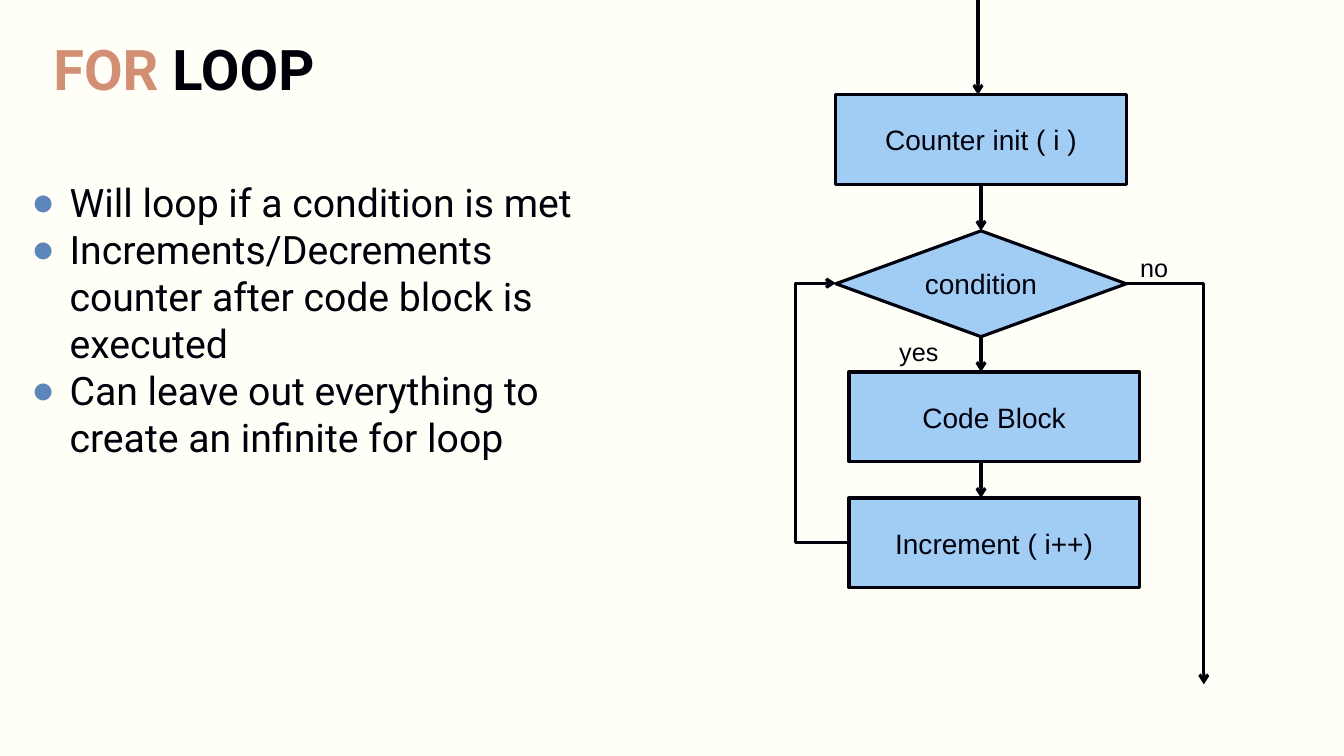
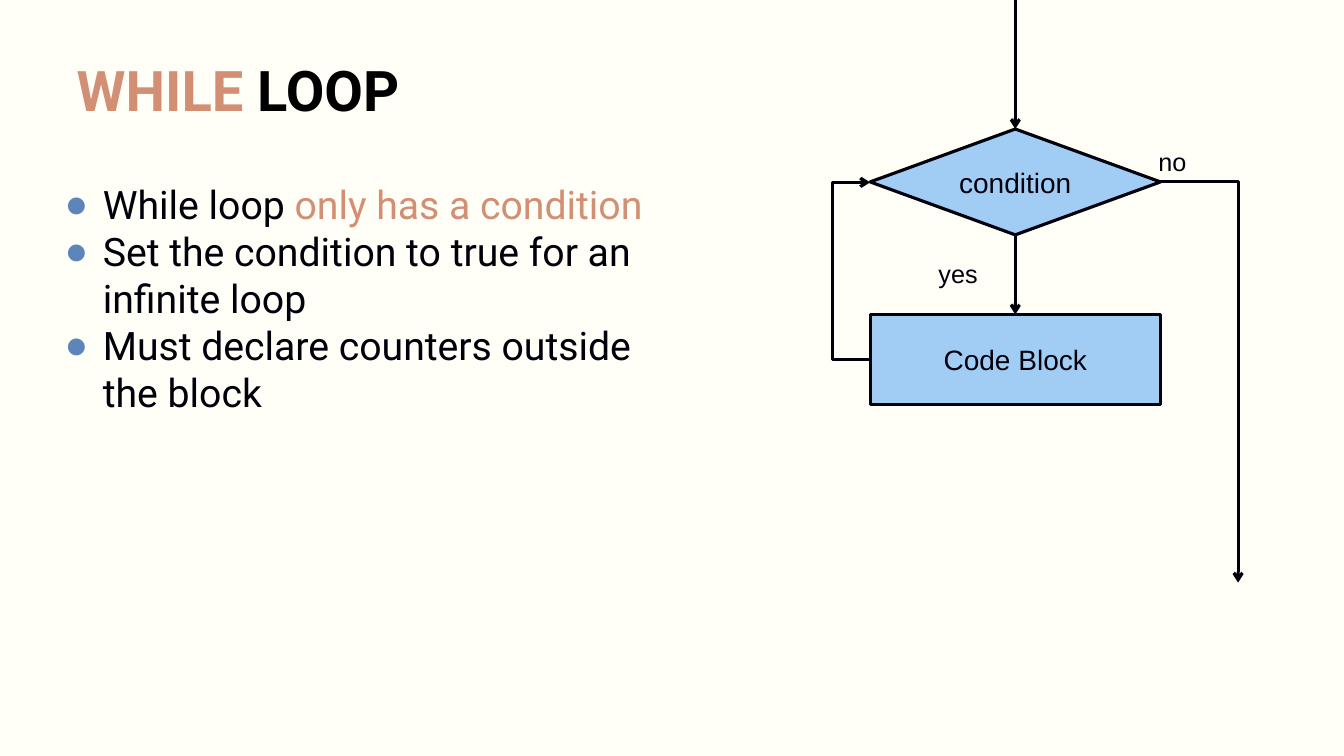
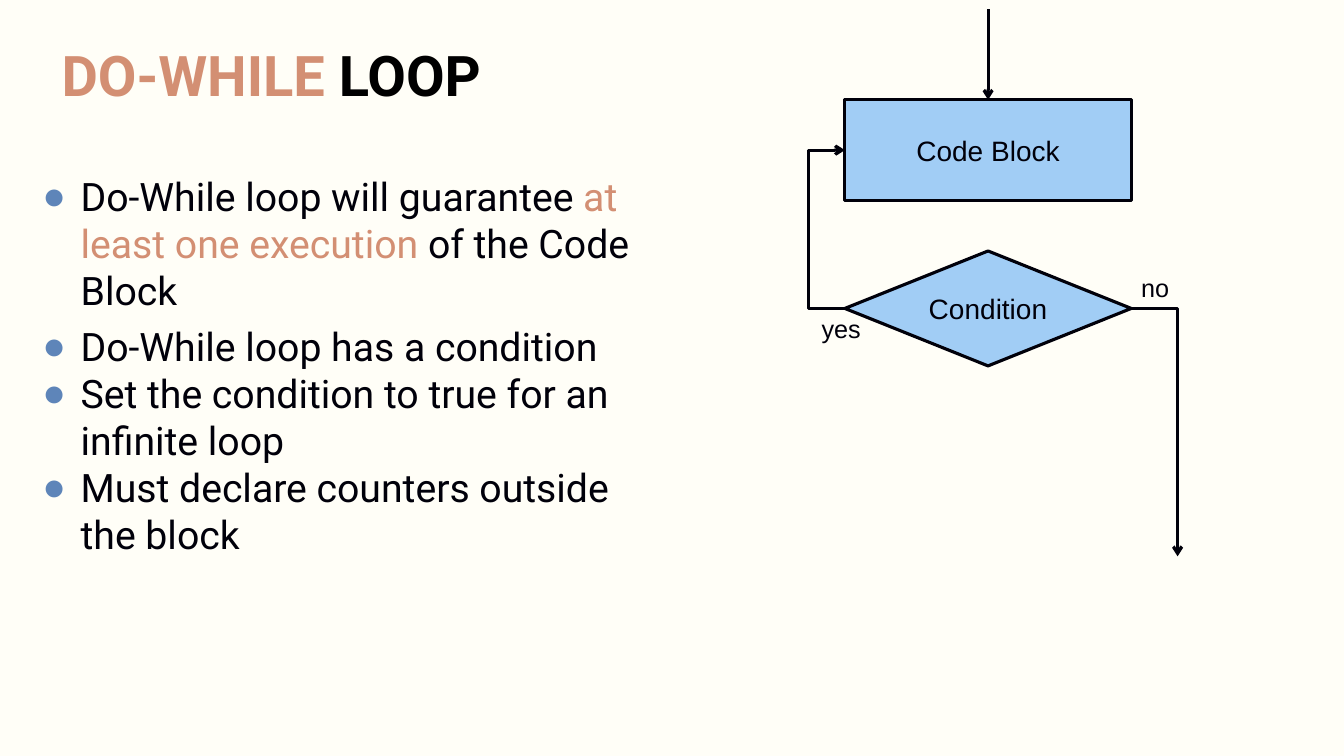
from dataclasses import dataclass, field
from typing import Any, NamedTuple, Optional, Union

from lxml import etree
from pptx import Presentation
from pptx.dml.color import RGBColor
from pptx.enum.shapes import MSO_CONNECTOR, MSO_SHAPE
from pptx.enum.text import MSO_ANCHOR, MSO_AUTO_SIZE, PP_ALIGN
from pptx.oxml.ns import qn
from pptx.util import Inches, Pt

RECT = MSO_SHAPE.RECTANGLE
DECISION = MSO_SHAPE.FLOWCHART_DECISION
DIAMOND = MSO_SHAPE.DIAMOND
STRAIGHT, ELBOW = MSO_CONNECTOR.STRAIGHT, MSO_CONNECTOR.ELBOW
TOP, BOTTOM = 0, 2
TITLE_AND_CONTENT = 1


@dataclass(frozen=True)
class Theme:
    background: str = "FFFEF7"
    ink: str = "00000A"
    black: str = "000000"
    accent: str = "D38F73"
    bullet: str = "5E85B9"
    node_fill: str = "A1CDF5"
    text_font: str = "Roboto"
    chart_font: str = "Arial"
    title_size: int = 40
    body_size: int = 28
    node_size: int = 20
    label_size: int = 18
    line_width: float = 2.25


THEME = Theme()


class Span(NamedTuple):
    text: str
    color: str = THEME.ink


class Box(NamedTuple):
    left: float
    top: float
    width: float
    height: float


class Bullet(NamedTuple):
    spans: list[Span]
    space_before: int = 0


class Node(NamedTuple):
    key: str
    text: str
    shape: Any
    box: Box
    line_width: float = THEME.line_width


class Point(NamedTuple):
    x: float
    y: float


class Site(NamedTuple):
    """A connection site of a node."""
    key: str
    index: int


class Arrow(NamedTuple):
    start: Union[Point, Site]
    end: Union[Point, Site]


class Elbow(NamedTuple):
    """A bent arrow: around via_x, or with a single corner if there is none."""
    start: Point
    end: Point
    via_x: Optional[float] = None


class Label(NamedTuple):
    text: str
    left: float
    top: float


@dataclass
class LoopSlide:
    title: list[Span]
    title_box: Box
    bullets: list[Bullet]
    body_box: Box
    nodes: list[Node]
    arrows: list[Arrow]
    elbows: list[Elbow]
    labels: list[Label] = field(default_factory=list)


def rgb(color: str) -> RGBColor:
    return RGBColor.from_string(color)


def set_all(target: Any, values: dict[str, Any]) -> None:
    for name, value in values.items():
        setattr(target, name, value)


def place(sp: Any, box: Box) -> None:
    set_all(sp, {name: Inches(value) for name, value in box._asdict().items()})


def add_runs(p: Any, spans: list[Span], font: str, size: int, bold: bool = False) -> None:
    for span in spans:
        r = p.add_run()
        r.text = span.text
        set_all(r.font, {"name": font, "size": Pt(size), "bold": bold})
        r.font.color.rgb = rgb(span.color)


def setup_placeholder(sp: Any, box: Box, anchor: Any) -> Any:
    place(sp, box)
    tf = sp.text_frame
    set_all(tf, {
        "word_wrap": True, "auto_size": MSO_AUTO_SIZE.NONE, "vertical_anchor": anchor,
        "margin_left": Inches(0.07), "margin_right": Inches(0.07),
        "margin_top": Inches(0.04), "margin_bottom": Inches(0.04),
    })
    return tf


def set_bullet(p: Any) -> None:
    pPr = p._p.get_or_add_pPr()
    pPr.set("marL", str(Inches(0.5)))
    pPr.set("indent", str(Inches(-0.38)))
    color = etree.SubElement(pPr, qn("a:buClr"))
    etree.SubElement(color, qn("a:srgbClr"), val=THEME.bullet)
    etree.SubElement(pPr, qn("a:buChar"), char="●")


def add_text(slide: Any, spec: LoopSlide) -> None:
    tf = setup_placeholder(slide.shapes.title, spec.title_box, MSO_ANCHOR.MIDDLE)
    p = tf.paragraphs[0]
    p.alignment = PP_ALIGN.LEFT
    add_runs(p, spec.title, THEME.text_font, THEME.title_size, bold=True)

    tf = setup_placeholder(slide.placeholders[1], spec.body_box, MSO_ANCHOR.TOP)
    for i, bullet in enumerate(spec.bullets):
        p = tf.add_paragraph() if i else tf.paragraphs[0]
        p.space_before = Pt(bullet.space_before)
        set_bullet(p)
        add_runs(p, bullet.spans, THEME.text_font, THEME.body_size)


def add_node(slide: Any, node: Node) -> Any:
    sp = slide.shapes.add_shape(node.shape, *map(Inches, node.box))
    sp.shadow.inherit = False
    sp.fill.solid()
    sp.fill.fore_color.rgb = rgb(THEME.node_fill)
    sp.line.color.rgb = rgb(THEME.ink)
    sp.line.width = Pt(node.line_width)
    tf = sp.text_frame
    tf.vertical_anchor = MSO_ANCHOR.MIDDLE
    p = tf.paragraphs[0]
    p.alignment = PP_ALIGN.CENTER
    add_runs(p, [Span(node.text)], THEME.chart_font, THEME.node_size)
    return sp


def add_line(slide: Any, kind: Any, start: Point, end: Point) -> Any:
    """Add a connector with an arrowhead at its end."""
    line = slide.shapes.add_connector(kind, *map(Inches, (*start, *end)))
    line.line.color.rgb = rgb(THEME.ink)
    line.line.width = Pt(THEME.line_width)
    etree.SubElement(line.line._get_or_add_ln(), qn("a:tailEnd"), type="arrow")
    etree.SubElement(line._element.spPr, qn("a:effectLst"))
    return line


def add_arrow(slide: Any, arrow: Arrow, shapes: dict[str, Any]) -> None:
    """Add a straight arrow and join the ends that lie on a node's site."""
    start, end = (Point(0, 0) if isinstance(stop, Site) else stop
                  for stop in arrow)
    line = add_line(slide, STRAIGHT, start, end)
    for stop, connect in zip(arrow, (line.begin_connect, line.end_connect)):
        if isinstance(stop, Site):
            connect(shapes[stop.key], stop.index)


def add_elbow(slide: Any, elbow: Elbow) -> None:
    line = add_line(slide, ELBOW, elbow.start, elbow.end)
    geom = line._element.spPr.find(qn("a:prstGeom"))
    if elbow.via_x is None:
        geom.set("prst", "bentConnector2")
        return
    share = (elbow.via_x - elbow.start.x) / (elbow.end.x - elbow.start.x)
    guides = geom.find(qn("a:avLst"))
    etree.SubElement(guides, qn("a:gd"), name="adj1", fmla=f"val {round(share * 100000)}")


def add_label(slide: Any, label: Label) -> None:
    box = Box(label.left, label.top, 1.24, 0.4)
    tf = slide.shapes.add_textbox(*map(Inches, box)).text_frame
    set_all(tf, {"word_wrap": True, "auto_size": MSO_AUTO_SIZE.SHAPE_TO_FIT_TEXT})
    add_runs(tf.paragraphs[0], [Span(label.text)], THEME.chart_font, THEME.label_size)


def add_loop_slide(prs: Any, spec: LoopSlide) -> None:
    slide = prs.slides.add_slide(prs.slide_layouts[TITLE_AND_CONTENT])
    add_text(slide, spec)
    shapes = {node.key: add_node(slide, node) for node in spec.nodes}
    for arrow in spec.arrows:
        add_arrow(slide, arrow, shapes)
    for elbow in spec.elbows:
        add_elbow(slide, elbow)
    for label in spec.labels:
        add_label(slide, label)


def loop_title(keyword: str, rest_color: str = THEME.black) -> list[Span]:
    return [Span(f"{keyword} ", THEME.accent), Span("LOOP", rest_color)]


INFINITE = Bullet([Span("Set the condition to true for an infinite loop")])
COUNTERS = Bullet([Span("Must declare counters outside the block")])

FOR_LOOP = LoopSlide(
    title=loop_title("FOR", THEME.ink),
    title_box=Box(0.46, 0.27, 8.42, 0.82),
    bullets=[
        Bullet([Span("Will loop if a condition is met")], 6),
        Bullet([Span("Increments/Decrements counter after code block is executed")]),
        Bullet([Span("Can leave out everything to create an infinite for loop")]),
    ],
    body_box=Box(0.12, 1.73, 6.12, 5.02),
    nodes=[
        Node("init", "Counter init ( i )", RECT, Box(8.29, 0.94, 2.88, 0.89)),
        Node("condition", "condition", DECISION, Box(8.29, 2.29, 2.88, 1.05)),
        Node("code", "Code Block", RECT, Box(8.42, 3.69, 2.88, 0.89)),
        Node("increment", "Increment ( i++)", RECT, Box(8.42, 4.94, 2.88, 0.89)),
    ],
    arrows=[
        Arrow(Point(9.7, 0), Point(9.7, 0.94)),
        Arrow(Site("init", BOTTOM), Site("condition", TOP)),
        Arrow(Site("condition", BOTTOM), Point(9.73, 3.69)),
        Arrow(Point(9.73, 4.58), Point(9.73, 4.94)),
    ],
    elbows=[
        Elbow(Point(8.42, 5.38), Point(8.29, 2.81), via_x=7.89),
        Elbow(Point(11.16, 2.81), Point(11.94, 6.79)),
    ],
    labels=[Label("yes", 8.82, 3.29), Label("no", 11.21, 2.45)],
)

WHILE_LOOP = LoopSlide(
    title=loop_title("WHILE"),
    title_box=Box(0.69, 0.47, 8.42, 0.82),
    bullets=[
        Bullet([Span("While loop "), Span("only has a condition", THEME.accent)], 6),
        INFINITE,
        COUNTERS,
    ],
    body_box=Box(0.45, 1.75, 6.38, 5.08),
    nodes=[
        Node("condition", "condition", DECISION, Box(8.63, 1.28, 2.88, 1.05)),
        Node("code", "Code Block", RECT, Box(8.63, 3.12, 2.88, 0.89)),
    ],
    arrows=[
        Arrow(Point(10.07, 0), Site("condition", TOP)),
        Arrow(Site("condition", BOTTOM), Site("code", TOP)),
    ],
    elbows=[
        Elbow(Point(11.51, 1.8), Point(12.28, 5.78)),
        Elbow(Point(8.65, 3.57), Point(8.63, 1.81), via_x=8.26),
    ],
    labels=[Label("yes", 9.21, 2.51), Label("no", 11.39, 1.4)],
)

DO_WHILE_LOOP = LoopSlide(
    title=loop_title("DO-WHILE"),
    title_box=Box(0.54, 0.33, 4.96, 0.82),
    bullets=[
        Bullet([
            Span("Do-While loop will guarantee "),
            Span("at least one execution ", THEME.accent),
            Span("of the Code Block"),
        ], 6),
        Bullet([Span("Do-While loop has a condition")], 6),
        INFINITE,
        COUNTERS,
    ],
    body_box=Box(0.23, 1.67, 6.31, 5.83),
    nodes=[
        Node("code", "Code Block", RECT, Box(8.38, 0.99, 2.84, 1), line_width=2),
        Node("condition", "Condition", DIAMOND, Box(8.38, 2.49, 2.84, 1.14)),
    ],
    arrows=[Arrow(Point(9.8, 0.09), Site("code", TOP))],
    elbows=[
        Elbow(Point(8.39, 3.06), Point(8.38, 1.49), via_x=8.01),
        Elbow(Point(11.22, 3.06), Point(11.68, 5.52)),
    ],
    labels=[Label("yes", 8.05, 3.06), Label("no", 11.22, 2.65)],
)


def main() -> None:
    prs = Presentation()
    prs.slide_width, prs.slide_height = Inches(13.33), Inches(7.5)
    fill = prs.slide_master.background.fill
    fill.solid()
    fill.fore_color.rgb = rgb(THEME.background)
    for loop in (FOR_LOOP, WHILE_LOOP, DO_WHILE_LOOP):
        add_loop_slide(prs, loop)
    prs.save("out.pptx")


if __name__ == "__main__":
    main()
